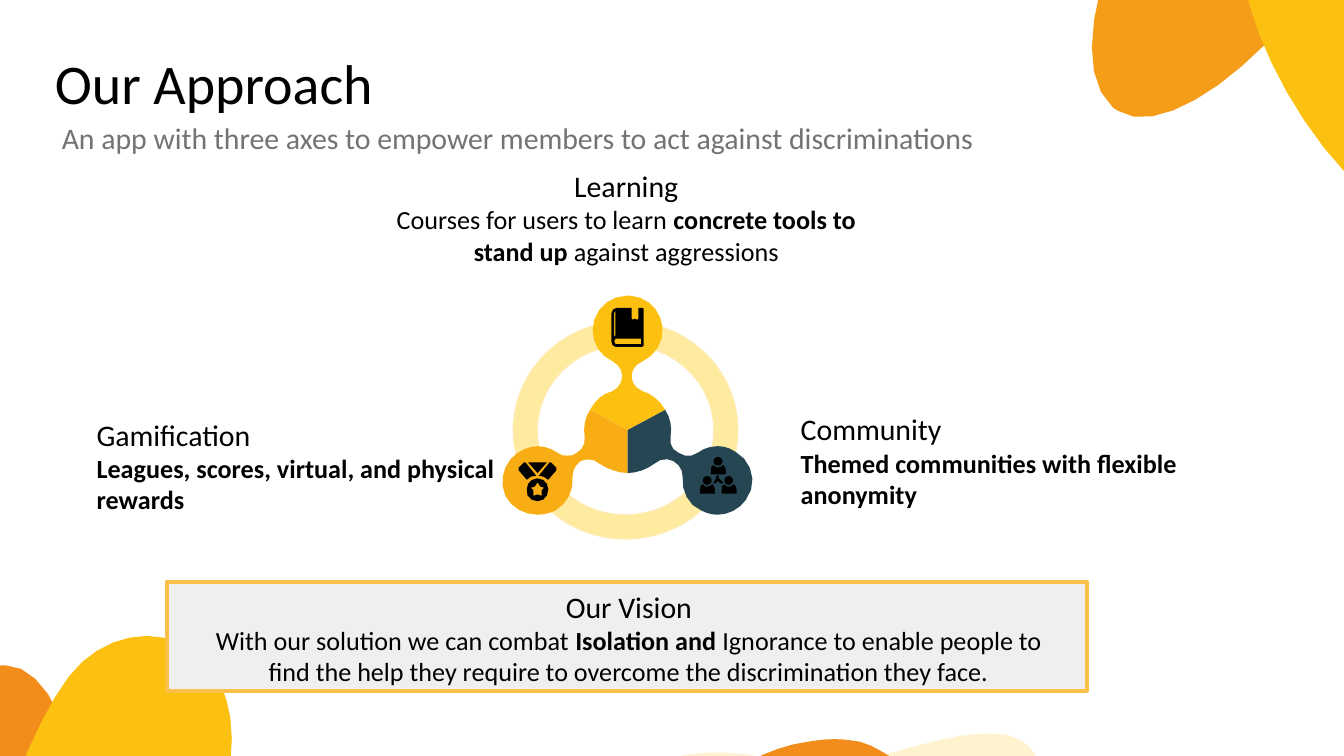
from math import dist, sqrt

from pptx import Presentation
from pptx.dml.color import RGBColor
from pptx.enum.shapes import MSO_SHAPE
from pptx.enum.text import MSO_AUTO_SIZE, PP_ALIGN
from pptx.util import Pt

RECTANGLE, OVAL, DONUT = MSO_SHAPE.RECTANGLE, MSO_SHAPE.OVAL, MSO_SHAPE.DONUT
GROW = MSO_AUTO_SIZE.SHAPE_TO_FIT_TEXT
FIXED = MSO_AUTO_SIZE.NONE
LEFT, CENTER = PP_ALIGN.LEFT, PP_ALIGN.CENTER

BLACK = RGBColor(0x00, 0x00, 0x00)
GRAY = RGBColor(0x73, 0x73, 0x73)
PALE_GRAY = RGBColor(0xEF, 0xEF, 0xEF)
GOLD = RGBColor(0xFC, 0xBF, 0x49)
YELLOW = RGBColor(0xFC, 0xC0, 0x10)
AMBER = RGBColor(0xF9, 0xAD, 0x15)
LIGHT_ORANGE = RGBColor(0xF5, 0x9D, 0x19)
ORANGE = RGBColor(0xF2, 0x8D, 0x1B)
CREAM = RGBColor(0xFF, 0xF2, 0xCE)
RING_FILL = RGBColor(0xFE, 0xEB, 0x9F)
RING_LINE = RGBColor(0xFF, 0xEC, 0xB4)
TEAL = RGBColor(0x26, 0x46, 0x53)

FONT = "Calibri"
UNIT = 0.72
ARGUMENTS = {"M": 2, "L": 2, "C": 6}

BLOBS = [
    ("M 621 550 C 611 550 600 552 590 554 566 560 547 571 541 583 L 753 583 752 579 "
     "C 748 573 731 571 717 571 703 571 688 571 676 568 "
     "661 565 655 556 640 552 634 551 628 550 621 550", ORANGE, 0),
    ("M 533 560 C 518 560 503 562 492 567 482 571 475 577 475 583 L 541 583 "
     "C 545 575 553 569 564 563 554 561 544 560 533 560 "
     "M 734 546 C 725 546 716 547 708 549 691 552 676 557 660 561 "
     "664 564 669 567 676 568 688 571 703 571 717 571 731 571 748 573 752 579 "
     "L 753 583 773 583 C 774 574 774 565 767 557 764 553 758 550 750 547 745 546 739 546 734 546",
     CREAM, 0),
    ("M 1067 -3 C 1082 -54 945 -136 850 -132 802 -130 776 -107 769 -81 "
     "761 -53 774 -21 805 -3 866 30 1038 61 1066 1", LIGHT_ORANGE, 106.1),
    ("M 1100 191 C 1150 174 1138 15 1080 -60 1051 -98 1018 -107 992 -98 "
     "965 -89 946 -59 949 -23 957 46 1030 204 1095 193", YELLOW, 161.2),
    ("M 2 648 C -34 648 -61 572 -41 527 -30 504 -11 495 7 495 27 495 45 506 50 523 "
     "61 557 49 643 5 648", ORANGE, 180),
    ("M 232 656 C 243 604 101 532 6 543 -42 548 -66 572 -72 599 -78 627 -62 659 -30 674 "
     "33 703 206 722 230 660", YELLOW, 102.2),
]
ARMS = [
    ("M 467 220 C 452 220 441 232 441 246 441 256 447 265 456 269 460 271 463 275 463 280 "
     "463 285 460 289 456 291 448 293 443 298 439 305 L 467 320 495 305 "
     "C 491 298 485 293 478 291 473 289 470 285 470 280 470 275 473 271 478 269 "
     "487 265 494 255 493 244 492 231 482 221 469 220", YELLOW),
    ("M 439 305 C 435 311 434 318 435 325 436 330 433 335 429 337 "
     "427 339 425 339 422 339 420 339 417 339 415 337 411 334 405 332 400 332 "
     "395 332 390 334 385 337 375 344 371 357 376 369 381 378 390 383 400 383 "
     "404 383 409 382 413 380 422 375 427 365 426 355 426 350 428 346 432 343 "
     "434 342 437 342 439 342 441 342 444 343 446 345 452 349 460 352 467 352 L 467 320", AMBER),
    ("M 495 305 L 467 320 467 352 C 474 352 482 349 487 345 491 341 497 341 501 343 "
     "506 346 508 350 508 355 507 365 512 376 522 380 526 382 530 383 534 383 "
     "542 383 550 379 555 372 564 360 560 343 547 336 543 333 538 332 534 332 "
     "528 332 523 334 519 337 515 340 509 340 505 337 500 335 498 330 499 325 "
     "500 318 499 311 495 305", TEAL),
]
PERSON_BODY = ("M 531 346 C 529 347 529 348 529 350 L 529 353 540 353 540 350 "
               "C 540 348 539 347 538 346 537 347 536 348 534 348 533 348 531 347 531 346")
PERSON_OFFSETS = [(0, 0), (-8, 14.3), (8, 14.3)]
ICONS = [
    "M 533 354 L 533 356 531 359 532 360 534 358 537 360 538 359 535 356 535 354",
    "M 458 231 L 458 250 457 250 457 233 M 477 252 L 477 256 458 256 457 254 458 252 "
    "M 459 229 C 457 229 455 231 455 233 L 455 254 C 455 256 456 258 458 258 L 478 258 "
    "479 257 479 230 478 229 475 229 475 237 474 238 472 237 471 238 470 237 470 229",
    "M 400 359 L 402 362 405 363 403 365 403 369 400 368 397 369 397 365 395 363 398 362 "
    "M 400 356 C 395 356 392 360 392 364 391 369 395 373 400 373 405 373 408 369 408 364 "
    "408 360 405 356 400 356",
    "M 409 344 L 401 354 C 403 354 406 355 408 357 L 414 350 414 348 410 344",
    "M 393 344 L 400 352 407 344",
    "M 390 344 L 386 348 386 350 392 357 C 394 355 396 354 399 354 L 391 344",
]
TOPICS = [
    ((44.64, 219.6, 264.96, 60.48), LEFT, "Gamification",
     [("Leagues, scores, virtual, and physical rewards", True)]),
    ((203.04, 86.4, 264.96, 94.32), CENTER, "Learning",
     [("Courses for users to learn ", False), ("concrete tools to stand up ", True),
      ("against aggressions", False)]),
    ((421.92, 216.72, 273.6, 77.76), LEFT, "Community",
     [("Themed communities with flexible anonymity", True)]),
    ((97.2, 311.76, 479.52, 77.76), CENTER, "Our Vision",
     [("With our solution we can combat ", False), ("Isolation and ", True),
      ("Ignorance to enable people to find the help they require to overcome "
       "the discrimination they face.", False)]),
]


def add_run(p, text, size=14, bold=False, color=BLACK):
    r = p.add_run()
    r.text = text
    r.font.name, r.font.size, r.font.bold = FONT, Pt(size), bold
    r.font.color.rgb = color


def curve_points(curve):
    steps = max(1, round(0.8 * sqrt(dist(curve[0], curve[3]))))
    for step in range(1, steps + 1):
        t = step / steps
        weights = ((1 - t) ** 3, 3 * t * (1 - t) ** 2, 3 * t * t * (1 - t), t ** 3)
        yield tuple(sum(w * c[axis] for w, c in zip(weights, curve)) for axis in (0, 1))


def contours(outline):
    found, command, values = [], "M", []
    for token in outline.split():
        if token.isalpha():
            command = token
            continue
        values.append(float(token))
        if len(values) < ARGUMENTS[command]:
            continue
        ends = list(zip(values[::2], values[1::2]))
        values = []
        if command == "M":
            found.append(ends)
        elif command == "L":
            found[-1] += ends
        else:
            found[-1] += list(curve_points([found[-1][-1]] + ends))
    return found


class Deck:
    """Hold the slide style and draw each kind of element."""

    def __init__(self):
        self.prs = Presentation()
        self.prs.slide_width, self.prs.slide_height = Pt(720), Pt(405)
        self.s = self.prs.slides.add_slide(self.prs.slide_layouts[6])

    def paint(self, sp, fill, line=None, width=0.75):
        sp.shadow.inherit = False
        sp.fill.solid()
        sp.fill.fore_color.rgb = fill
        if line is None:
            sp.line.fill.background()
        else:
            sp.line.color.rgb, sp.line.width = line, Pt(width)

    def shape(self, kind, box, fill, line=None, width=0.75):
        sp = self.s.shapes.add_shape(kind, *map(Pt, box))
        self.paint(sp, fill, line, width)
        return sp

    def freeform(self, outline, fill, rotation=0, offset=(0, 0)):
        dx, dy = offset
        rings = [[(Pt((x + dx) * UNIT), Pt((y + dy) * UNIT)) for x, y in ring]
                 for ring in contours(outline)]
        builder = self.s.shapes.build_freeform(*rings[0][0])
        for ring in rings:
            if ring is not rings[0]:
                builder.move_to(*ring[0])
            builder.add_line_segments(ring[1:], close=True)
        sp = builder.convert_to_shape()
        sp.rotation = rotation
        self.paint(sp, fill)

    def text(self, box, insets=(7.2, 3.6), auto_size=GROW):
        tf = self.s.shapes.add_textbox(*map(Pt, box)).text_frame
        tf.word_wrap, tf.auto_size = True, auto_size
        tf.margin_left, tf.margin_top = map(Pt, insets)
        return tf

    def heading(self, box, insets, text, spacing=1.0, **style):
        p = self.text(box, insets, FIXED).paragraphs[0]
        p.line_spacing = spacing
        add_run(p, text, **style)

    def topic(self, box, align, title, parts):
        tf = self.text(box)
        p = tf.paragraphs[0]
        p.alignment = align
        add_run(p, title, size=16)
        p = tf.add_paragraph()
        p.alignment = align
        for text, bold in parts:
            add_run(p, text, bold=bold)


def main():
    deck = Deck()
    for outline, fill, rotation in BLOBS:
        deck.freeform(outline, fill, rotation=rotation)
    deck.shape(RECTANGLE, (89.28, 311.76, 493.2, 58.32), PALE_GRAY, GOLD, 2)
    deck.heading((22.32, 18.72, 574.56, 45.36), (7.2, 7.2), "Our Approach", size=30)
    deck.heading((22.32, 54, 574.56, 26.64), (10.8, 7.2),
                 "An app with three axes to empower members to act against discriminations",
                 spacing=1.15, size=16, color=GRAY)
    ring = deck.shape(DONUT, (275.04, 172.08, 120.24, 116.64), RING_FILL, RING_LINE)
    ring.adjustments[0] = 0.11
    for outline, fill in ARMS:
        deck.freeform(outline, fill)
    for dx, dy in PERSON_OFFSETS:
        deck.shape(OVAL, (382.3 + dx * UNIT, 244.8 + dy * UNIT, 4.7, 4.7), BLACK)
        deck.freeform(PERSON_BODY, BLACK, offset=(dx, dy))
    for outline in ICONS:
        deck.freeform(outline, BLACK)
    for topic in TOPICS:
        deck.topic(*topic)
    deck.prs.save("out.pptx")


if __name__ == "__main__":
    main()
